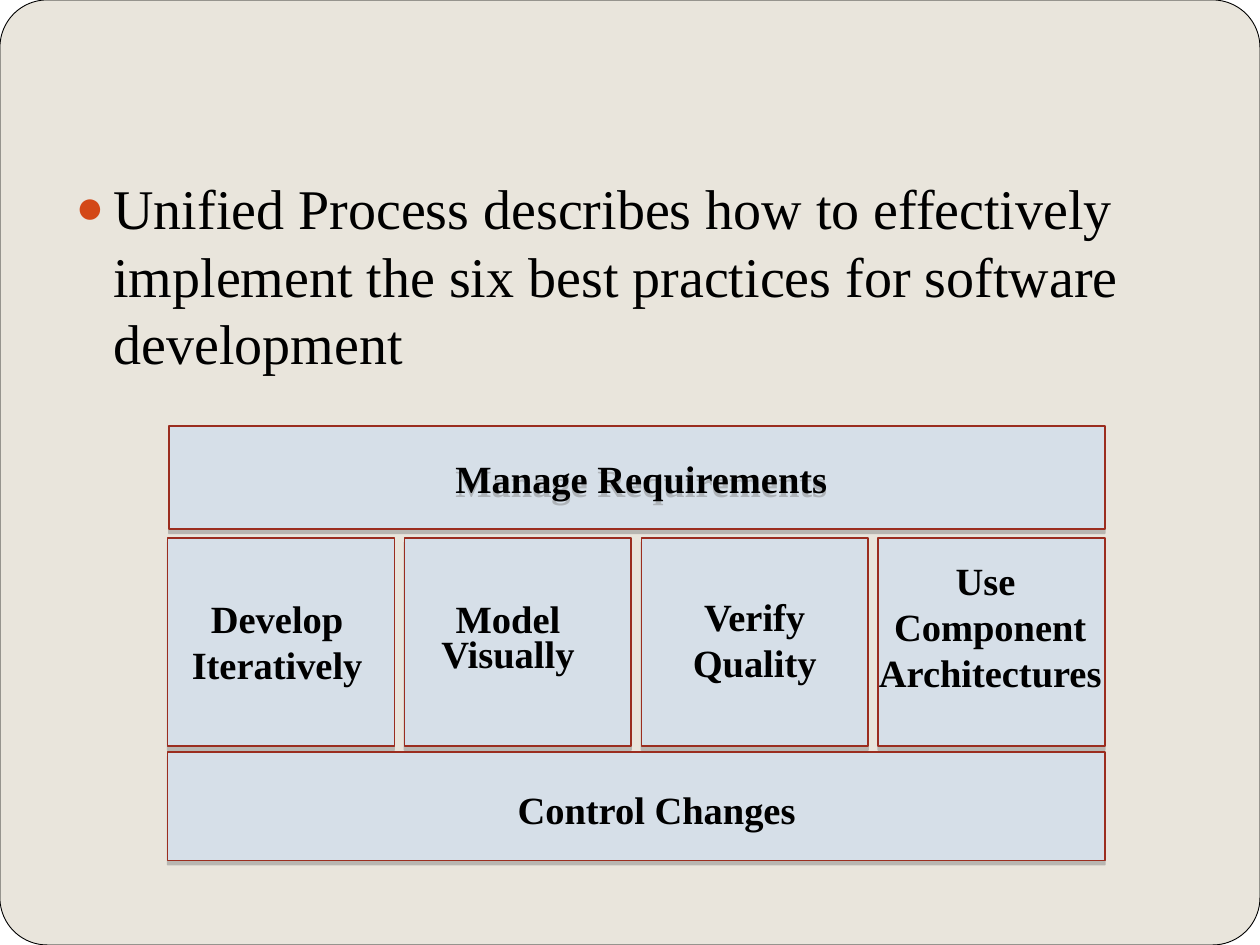
"""Build the slide on the six best practices of the Unified Process."""
import pptx
import pptx.dml.color
import pptx.enum.shapes
import pptx.enum.text
import pptx.oxml
import pptx.oxml.ns
import pptx.util
from pptx.util import Inches

FONT = "Times New Roman"
SAND, BLUE, RED, ORANGE, BLACK = "E9E5DC", "D6DFE8", "9B2D1F", "D34817", "000000"
ALIGN = pptx.enum.text.PP_ALIGN
ANCHOR = pptx.enum.text.MSO_ANCHOR
SHAPE = pptx.enum.shapes.MSO_SHAPE
NAMESPACE = pptx.oxml.ns.nsdecls("a")
COLUMN_LEFT, COLUMN_PITCH = 1.33, 1.88
PRACTICES = [
    ("Develop\nIteratively", (1.3, 4.67, 1.8, 0.84), {}),
    ("Model \nVisually ", (3.17, 4.83, 1.8, 0.51), {"anchor": ANCHOR.MIDDLE, "spacing": 0.75}),
    ("Verify\nQuality", (5.09, 4.66, 1.8, 0.84), {}),
    ("Use \nComponent\vArchitectures", (6.76, 4.37, 2.2, 1.21), {}),
]


def color(value):
    """Turn a hex string into a colour."""
    return pptx.dml.color.RGBColor.from_string(value)


def set_font(para, size, bold=False):
    """Set the slide's font on a paragraph."""
    para.font.name = FONT
    para.font.size = pptx.util.Pt(size)
    para.font.bold = bold
    para.font.color.rgb = color(BLACK)


def add_shadow(shape):
    """Give a shape a soft grey shadow just below it."""
    shape.shadow.inherit = False
    effects = shape.element.spPr.find(pptx.oxml.ns.qn("a:effectLst"))
    effects.append(pptx.oxml.parse_xml(
        f'<a:outerShdw {NAMESPACE} blurRad="0" dist="30480" dir="5400000" rotWithShape="0">'
        '<a:srgbClr val="808080"><a:alpha val="45000"/></a:srgbClr></a:outerShdw>'))


def add_panel(page, kind, place, fill, line, width):
    """Add a filled and outlined shape without a shadow."""
    panel = page.shapes.add_shape(kind, *map(Inches, place))
    panel.shadow.inherit = False
    panel.fill.solid()
    panel.fill.fore_color.rgb = color(fill)
    panel.line.color.rgb = color(line)
    panel.line.width = pptx.util.Pt(width)
    return panel


def add_frame(page):
    """Add the rounded sand-coloured sheet behind everything else."""
    frame = add_panel(page, SHAPE.ROUNDED_RECTANGLE, (0, 0, 10, 7.5), SAND, BLACK, 0.5)
    frame.adjustments[0] = 0.05
    frame.element.getparent().insert(2, frame.element)


def add_block(page, place):
    """Add one block of the diagram."""
    add_shadow(add_panel(page, SHAPE.RECTANGLE, place, BLUE, RED, 0.79))


def add_label(page, text, place, align=ALIGN.CENTER, anchor=ANCHOR.TOP, spacing=None):
    """Add a bold label."""
    box = page.shapes.add_textbox(*map(Inches, place))
    frame = box.text_frame
    frame.word_wrap = True
    frame.vertical_anchor = anchor
    frame.text = text
    for para in frame.paragraphs:
        para.alignment = align
        para.line_spacing = spacing
        set_font(para, 22, bold=True)
    return box


def fill_body(page, text):
    """Place the bulleted statement in the body placeholder."""
    body = page.placeholders[1]
    body.left, body.top, body.width, body.height = map(Inches, (0.5, 1.33, 9, 5.67))
    body.text_frame.text = text
    para = body.text_frame.paragraphs[0]
    para.space_before = pptx.util.Pt(0)
    properties = para._p.get_or_add_pPr()
    properties.set("marL", str(Inches(0.3)))
    properties.set("indent", str(Inches(-0.3)))
    for bullet in (f'<a:buClr {NAMESPACE}><a:srgbClr val="{ORANGE}"/></a:buClr>',
                   f'<a:buSzPct {NAMESPACE} val="85000"/>',
                   f'<a:buChar {NAMESPACE} char="●"/>'):
        properties.append(pptx.oxml.parse_xml(bullet))
    set_font(para, 32)


def main():
    """Build and save the deck."""
    deck = pptx.Presentation()
    deck.slide_width, deck.slide_height = Inches(10), Inches(7.5)
    page = deck.slides.add_slide(deck.slide_layouts[1])
    title = page.shapes.title.element
    title.getparent().remove(title)
    add_frame(page)
    fill_body(page, "Unified Process describes how to effectively implement "
                    "the six best practices for software development")
    add_block(page, (1.33, 5.97, 7.44, 0.86))
    add_label(page, "Control Changes", (4.01, 6.19, 3.15, 0.47), align=ALIGN.LEFT)
    add_block(page, (1.34, 3.38, 7.43, 0.82))
    add_shadow(add_label(page, "Manage Requirements", (3.34, 3.61, 3.5, 0.37),
                         anchor=ANCHOR.MIDDLE))
    for column, (text, place, options) in enumerate(PRACTICES):
        add_block(page, (COLUMN_LEFT + column * COLUMN_PITCH, 4.27, 1.8, 1.65))
        add_label(page, text, place, **options)
    deck.save("out.pptx")


if __name__ == "__main__":
    main()
